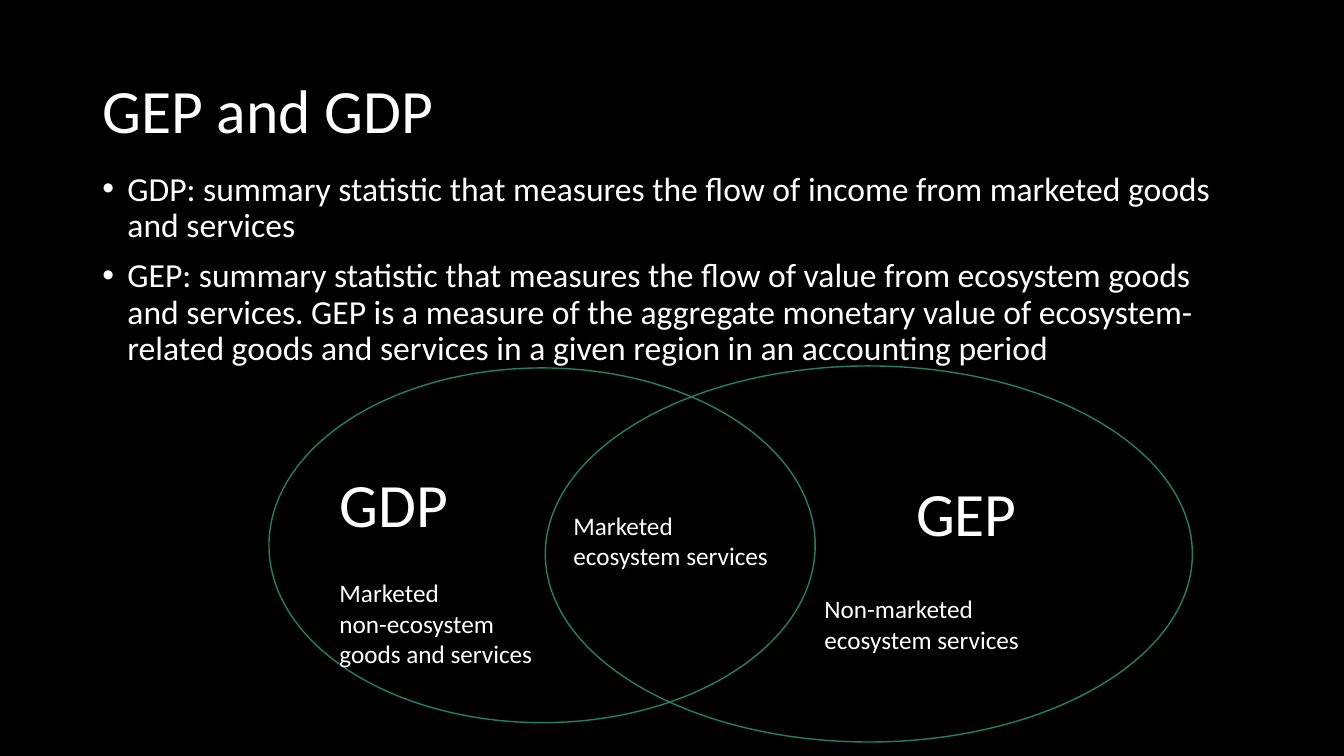
from lxml import etree
from pptx import Presentation
from pptx.dml.color import RGBColor
from pptx.enum.shapes import MSO_SHAPE
from pptx.enum.text import MSO_ANCHOR
from pptx.oxml.ns import qn
from pptx.util import Pt

ELLIPSE = MSO_SHAPE.OVAL
TOP, MIDDLE = MSO_ANCHOR.TOP, MSO_ANCHOR.MIDDLE

COLORS = {"background": "000000", "text": "FFFFFF", "outline": "1E8168"}
FONT = "Calibri"
TITLE_SIZE, BODY_SIZE, LABEL_SIZE = 44, 24, 18
BULLET_INDENT = 18

DEFINITIONS = [
    "GDP: summary statistic that measures the flow of income from marketed "
    "goods and services",
    "GEP: summary statistic that measures the flow of value from ecosystem "
    "goods and services. GEP is a measure of the aggregate monetary value of "
    "ecosystem-related goods and services in a given region in an accounting "
    "period",
]

# Left, top, width, height in points
CIRCLES = [(192.1, 262.8, 390.2, 253.4), (389.5, 261.4, 462.2, 268.6)]

# Lines, size, then left, top, width, height in points
LABELS = [
    (["GDP"], TITLE_SIZE, (235.4, 329, 92.9, 60.5)),
    (["GEP"], TITLE_SIZE, (647.3, 335.5, 87.1, 60.5)),
    (["Non-marketed", "ecosystem services"], LABEL_SIZE,
     (581.8, 420.5, 154.8, 51.1)),
    (["Marketed", "ecosystem services"], LABEL_SIZE,
     (402.5, 360.7, 154.8, 51.1)),
    (["Marketed", "non-ecosystem", "goods and services"], LABEL_SIZE,
     (235.4, 409, 154.1, 72.7)),
]


def color(name):
    return RGBColor.from_string(COLORS[name])


def set_format(target, values):
    for name, value in values.items():
        setattr(target, name, value)


def add_bullet(para):
    properties = para._p.get_or_add_pPr()
    properties.set("marL", str(Pt(BULLET_INDENT)))
    properties.set("indent", str(-Pt(BULLET_INDENT)))
    etree.SubElement(properties, qn("a:buFont")).set("typeface", "Arial")
    etree.SubElement(properties, qn("a:buChar")).set("char", "•")


def add_text(page, lines, size, place, wrap=True, anchor=TOP,
             spacing=1.0, gap=0, bullets=False):
    box = page.shapes.add_textbox(*map(Pt, place))
    frame = box.text_frame
    set_format(frame, {"word_wrap": wrap, "vertical_anchor": anchor})
    for index, line in enumerate(lines):
        para = frame.add_paragraph() if index else frame.paragraphs[0]
        set_format(para, {"line_spacing": spacing,
                          "space_before": Pt(gap if index else 0)})
        if bullets:
            add_bullet(para)
        span = para.add_run()
        span.text = line
        set_format(span.font, {"name": FONT, "size": Pt(size)})
        span.font.color.rgb = color("text")


def add_circle(page, place):
    circle = page.shapes.add_shape(ELLIPSE, *map(Pt, place))
    circle.shadow.inherit = False
    circle.fill.background()
    circle.line.color.rgb = color("outline")
    circle.line.width = Pt(1)


def main():
    deck = Presentation()
    set_format(deck, {"slide_width": Pt(960), "slide_height": Pt(540)})
    page = deck.slides.add_slide(deck.slide_layouts[6])
    page.background.fill.solid()
    page.background.fill.fore_color.rgb = color("background")

    # Title and definitions
    add_text(page, ["GEP and GDP"], TITLE_SIZE, (66, 28.8, 828, 104.4),
             anchor=MIDDLE, spacing=0.9)
    add_text(page, DEFINITIONS, BODY_SIZE, (66, 119.5, 828, 342.7),
             spacing=0.9, gap=10, bullets=True)

    # Venn diagram
    for place in CIRCLES:
        add_circle(page, place)
    for lines, size, place in LABELS:
        add_text(page, lines, size, place, wrap=False)

    deck.save("out.pptx")


if __name__ == "__main__":
    main()
